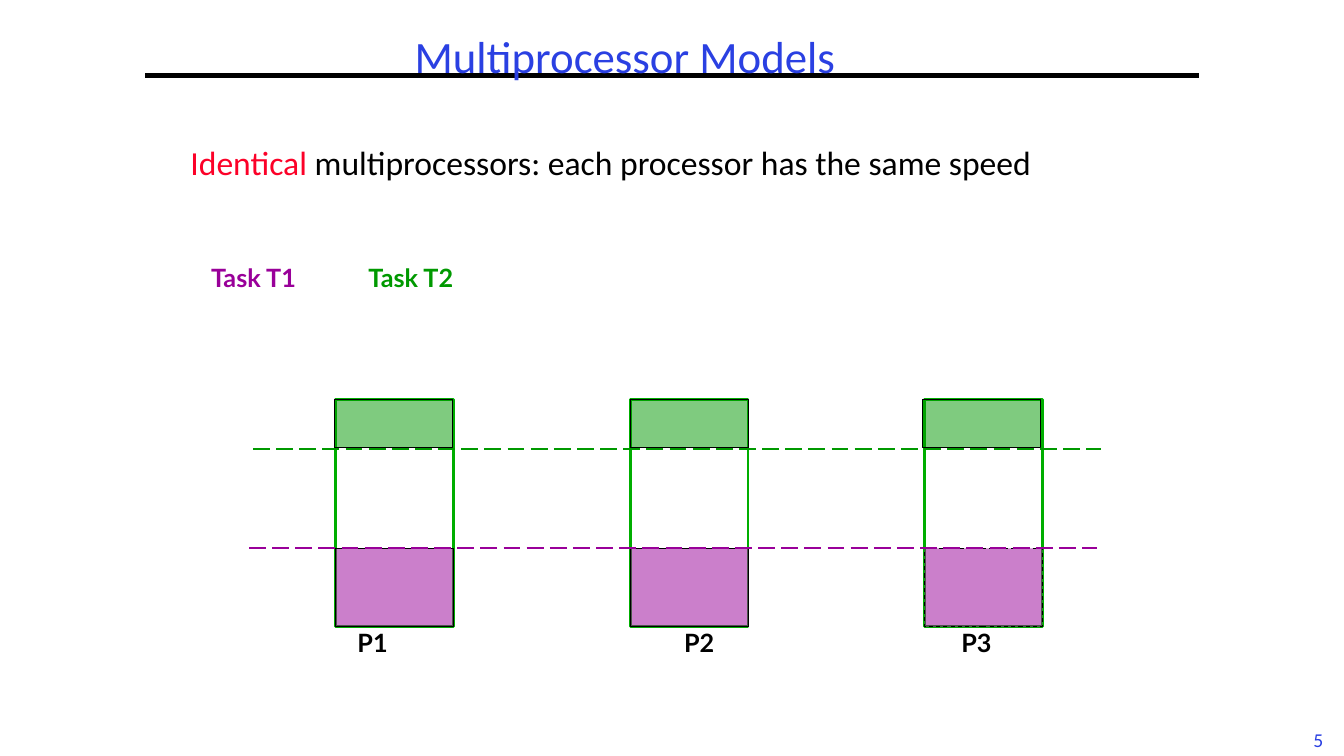
"""Build the slide on identical multiprocessor models."""
from pptx import Presentation
from pptx.dml.color import RGBColor
from pptx.enum.dml import MSO_LINE
from pptx.enum.shapes import MSO_CONNECTOR, MSO_SHAPE
from pptx.enum.text import MSO_ANCHOR, PP_ALIGN
from pptx.oxml.ns import qn
from pptx.util import Inches, Pt
from lxml import etree

RECT, LINE = MSO_SHAPE.RECTANGLE, MSO_CONNECTOR.STRAIGHT
DASH, LONG = MSO_LINE.DASH, MSO_LINE.LONG_DASH
LEFT, MID = PP_ALIGN.LEFT, PP_ALIGN.CENTER
TOP, CENTER = MSO_ANCHOR.TOP, MSO_ANCHOR.MIDDLE
BLACK = RGBColor(0, 0, 0)
BLUE = RGBColor(0x2A, 0x40, 0xE2)
RED = RGBColor(0xFC, 0x01, 0x28)
GREEN = RGBColor(0, 0x99, 0)
LIME = RGBColor(0, 0xAE, 0)
PLUM = RGBColor(0x99, 0, 0x99)

TITLE = "Multiprocessor Models"
BODY = [("Identical", RED), (" multiprocessors: each processor has the same speed", BLACK)]
TASKS = [("Task T1", 1.96, PLUM), ("Task T2", 3.52, GREEN)]
CPUS = [("P1", 3.44, 3.32, None), ("P2", 6.68, 6.25, None), ("P3", 9.43, 9.15, DASH)]
RULES = [
    (1.44, 11.89, 0.75, BLACK, 3, None),
    (2.47, 10.88, 5.44, PLUM, 1.5, LONG),
    (2.51, 10.92, 4.45, GREEN, 1.5, LONG),
]
FIRST, STEP, WIDE = 3.33, 2.92, 1.17
HEAD, FOOT, SPLIT, CAP = 3.96, 6.22, 5.44, 0.48

prs = Presentation()
prs.slide_width, prs.slide_height = Inches(13.33), Inches(7.5)
slide = prs.slides.add_slide(prs.slide_layouts[6])
shapes = slide.shapes


def write(runs, at, size, face="Calibri", align=MID, gap=1.0, bold=False, wrap=True, anchor=TOP):
    frame = shapes.add_textbox(*map(Inches, at)).text_frame
    frame.word_wrap, frame.vertical_anchor = wrap, anchor
    par = frame.paragraphs[0]
    par.alignment, par.line_spacing = align, gap
    par.font.size, par.font.name, par.font.bold = Pt(size), face, bold
    for text, color in runs:
        run = par.add_run()
        run.text = text
        run.font.color.rgb = color


def label(text, left, top, width, color):
    write([(text, color)], (left, top, width, 0.4), 18, "Lato", gap=1.1, bold=True, wrap=False)


def block(left, top, height, color, width, fill=None, dash=None):
    box = shapes.add_shape(RECT, *map(Inches, (left, top, WIDE, height)))
    box.shadow.inherit = False
    box.line.color.rgb, box.line.width = color, Pt(width)
    if dash:
        box.line.dash_style = dash
    if fill is None:
        box.fill.background()
        return
    box.fill.solid()
    box.fill.fore_color.rgb = fill
    tint = box.fill._xPr.find(qn("a:solidFill"))[0]
    etree.SubElement(tint, qn("a:alpha")).set("val", "50000")


def rule(start, end, top, color, width, dash):
    line = shapes.add_connector(LINE, *map(Inches, (start, top, end, top)))
    line.line.color.rgb, line.line.width = color, Pt(width)
    if dash:
        line.line.dash_style = dash
    etree.SubElement(line._element.spPr, qn("a:effectLst"))


write([("5", BLUE)], (12.86, 7.17, 0.43, 0.33), 14, wrap=False)
rule(*RULES[0])
write(BODY, (1.79, 1.26, 9.88, 1.17), 24, align=LEFT, gap=1.25)
write([(TITLE, BLUE)], (1.92, 0.17, 8.56, 0.83), 32, gap=0.9, anchor=CENTER)

for text, left, color in TASKS:
    label(text, left, 2.52, 1.11, color)

for i, (name, left, cap, dash) in enumerate(CPUS):
    side = FIRST + i * STEP
    block(side, HEAD, FOOT - HEAD, LIME, 2)
    label(name, left, 6.14, 0.51, BLACK)
    block(side, SPLIT, FOOT - SPLIT, BLACK, 0.75, PLUM, dash)
    block(cap, HEAD, CAP, BLACK, 0.75, GREEN)

for item in RULES[1:]:
    rule(*item)

prs.save("out.pptx")
